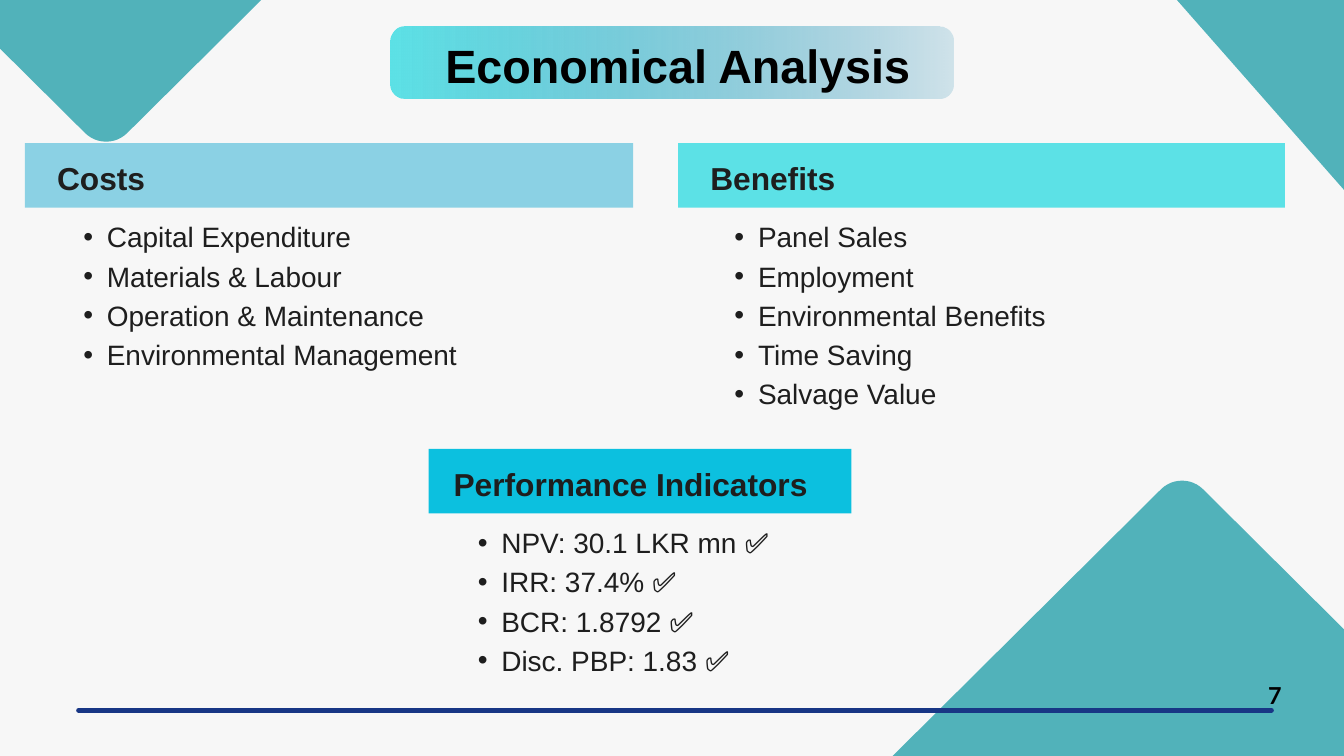
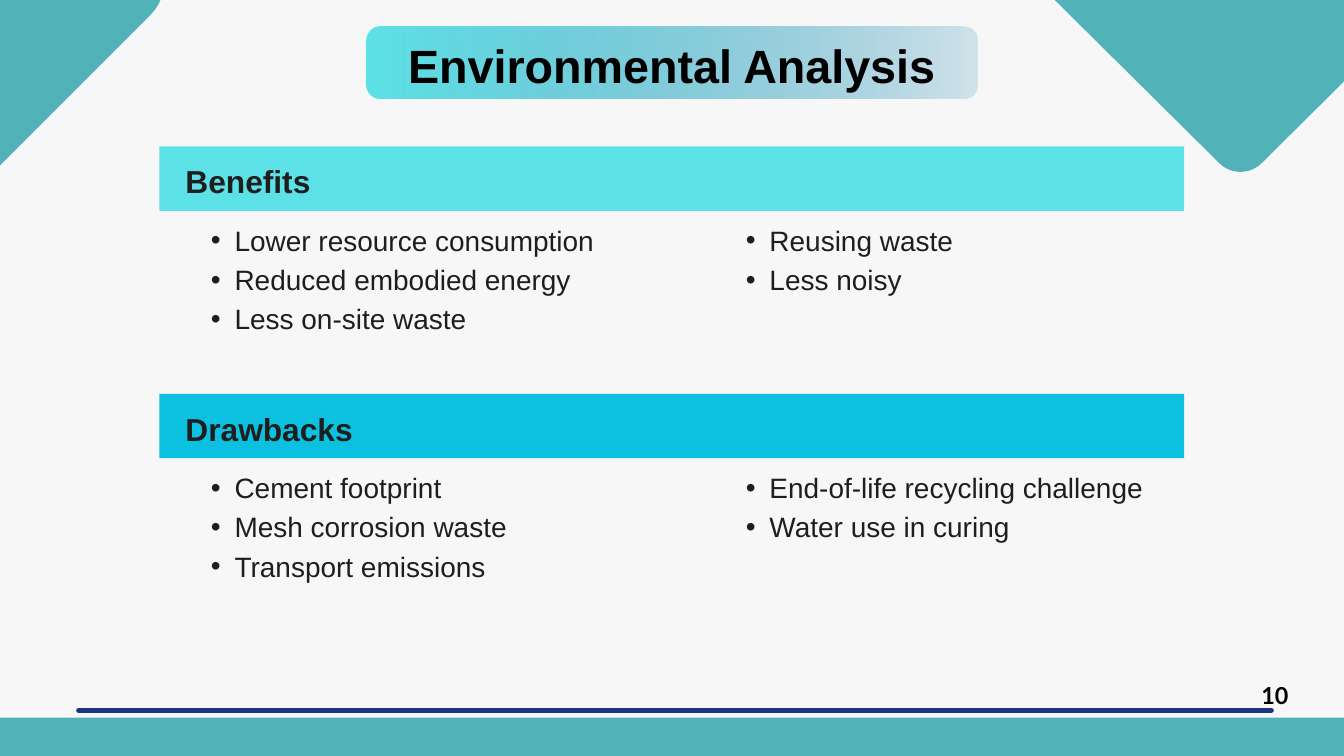
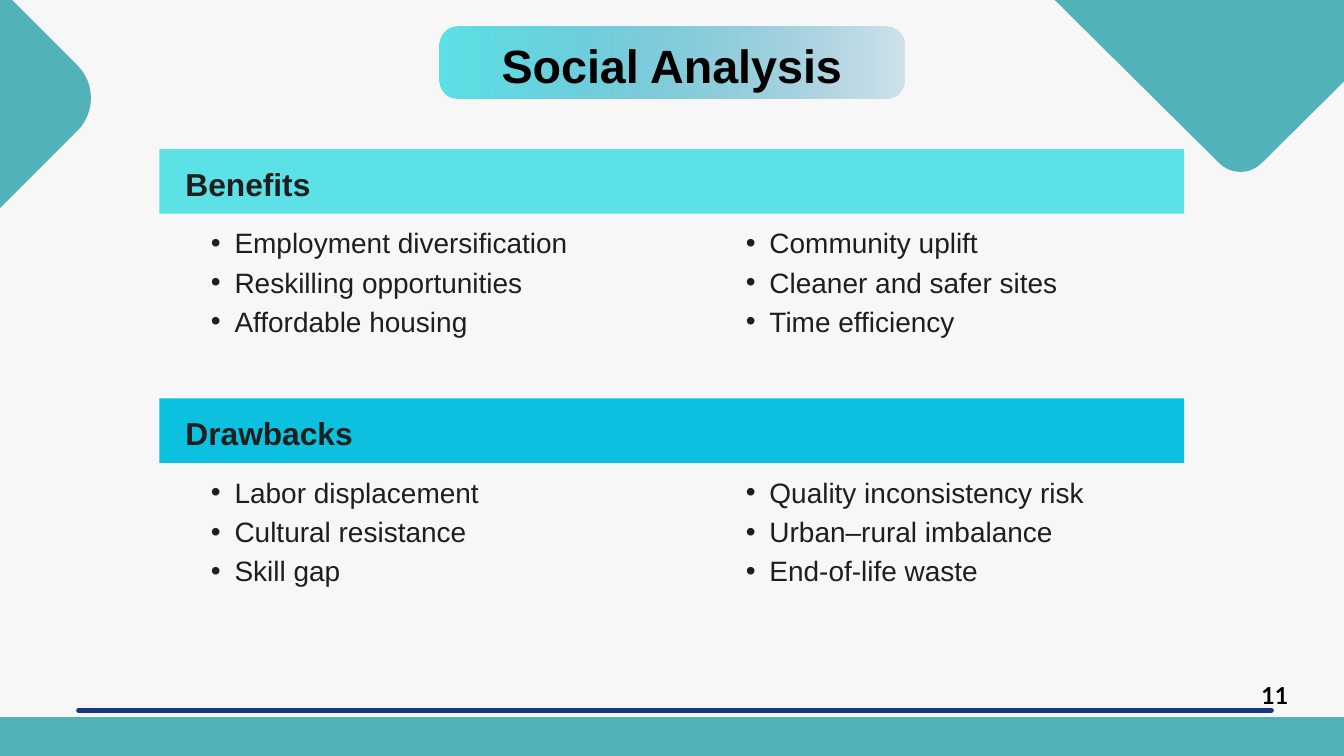
from dataclasses import dataclass

from lxml.etree import SubElement
from pptx import Presentation
from pptx.dml.color import RGBColor
from pptx.enum.shapes import MSO_CONNECTOR, MSO_SHAPE
from pptx.enum.text import MSO_ANCHOR, PP_ALIGN
from pptx.oxml.ns import qn
from pptx.util import Inches, Pt


@dataclass(frozen=True)
class Theme:
    background: RGBColor = RGBColor.from_string("F7F7F7")
    corner: RGBColor = RGBColor.from_string("51B2BA")
    costs: RGBColor = RGBColor.from_string("8BD1E4")
    aqua: RGBColor = RGBColor.from_string("5CE1E6")
    cyan: RGBColor = RGBColor.from_string("0CC0DF")
    title_end: RGBColor = RGBColor.from_string("0079A7")
    rule: RGBColor = RGBColor.from_string("183685")
    black: RGBColor = RGBColor.from_string("000000")
    ink: RGBColor = RGBColor.from_string("1E1E1E")
    font: str = "Arial"
    number_font: str = "Lato"
    title_size: int = 50
    heading_size: int = 34
    list_size: int = 30
    number_size: int = 25


theme = Theme()
deck = Presentation()
deck.slide_width = Inches(20)
deck.slide_height = Inches(11.25)
COLUMN = deck.slide_width / 20
ROW = deck.slide_height / 11.25
BAR_HEIGHT = 0.96


def write(page, text, left, top, width, height, *, size, color=theme.ink,
          font=theme.font, bold=False, align=PP_ALIGN.JUSTIFY, bullet=False):
    box = page.shapes.add_textbox(int(left * COLUMN), int(top * ROW),
                                  int(width * COLUMN), int(height * ROW))
    frame = box.text_frame
    frame.word_wrap = True
    frame.vertical_anchor = MSO_ANCHOR.TOP
    frame.margin_left = frame.margin_right = frame.margin_top = frame.margin_bottom = 0
    for index, line in enumerate(text.split("\n")):
        para = frame.paragraphs[0] if index == 0 else frame.add_paragraph()
        para.alignment = align
        para.line_spacing = Pt(size * 1.4)
        if bullet:
            para.level = 1
            properties = para._p.get_or_add_pPr()
            properties.set("marL", str(int(0.71 * COLUMN)))
            properties.set("indent", str(int(-0.35 * COLUMN)))
            SubElement(properties, qn("a:buFont"), typeface=theme.font)
            SubElement(properties, qn("a:buChar"), char="•")
        span = para.add_run()
        span.text = line
        span.font.name = font
        span.font.size = Pt(size)
        span.font.bold = bold
        span.font.color.rgb = color


def draw_rounded(page, corners, cut):
    outline = []
    for index, (x, y) in enumerate(corners):
        ends = []
        for near_x, near_y in (corners[index - 1], corners[(index + 1) % len(corners)]):
            share = cut / ((near_x - x) ** 2 + (near_y - y) ** 2) ** 0.5
            ends.append((x + (near_x - x) * share, y + (near_y - y) * share))
        (start_x, start_y), (end_x, end_y) = ends
        for step in range(13):
            t = step / 12
            start_weight = (1 - t) ** 3 + 1.35 * t * (1 - t) ** 2
            end_weight = t ** 3 + 1.35 * t ** 2 * (1 - t)
            corner_weight = 1 - start_weight - end_weight
            outline.append((
                int((start_weight * start_x + corner_weight * x + end_weight * end_x) * COLUMN),
                int((start_weight * start_y + corner_weight * y + end_weight * end_y) * ROW)))
    builder = page.shapes.build_freeform(*outline[0], scale=1.0)
    builder.add_line_segments(outline[1:], close=True)
    shape = builder.convert_to_shape()
    shape.shadow.inherit = False
    shape.fill.solid()
    shape.fill.fore_color.rgb = theme.corner
    shape.line.fill.background()


right_triangle = ([(18.46, 2.74), (28.74, -7.45), (8.18, -7.45)], 0.44)
slides = [
    dict(
        title="Economical Analysis", title_width=8.37, title_center=10.09, rounding=0.2,
        number="7", footer_top=None,
        corners=[
            ([(1.58, 2.29), (11.86, -7.91), (-8.7, -7.91)], 0.44),
            ([(20.92, -3.95), (24.59, 0.2), (20.69, 3.61), (17.03, -0.55)], 0.16),
            ([(17.59, 6.97), (11.24, 13.28), (23.94, 13.28)], 0.44),
        ],
        sections=[
            ("Costs", theme.costs, 0.37, 2.13, 9.05, 0.48, [
                (0.88, "Capital Expenditure\nMaterials & Labour\n"
                       "Operation & Maintenance\nEnvironmental Management")]),
            ("Benefits", theme.aqua, 10.09, 2.13, 9.03, 0.48, [
                (10.57, "Panel Sales\nEmployment\nEnvironmental Benefits\n"
                        "Time Saving\nSalvage Value")]),
            ("Performance Indicators", theme.cyan, 6.38, 6.68, 6.29, 0.37, [
                (6.75, "NPV: 30.1 LKR mn ✅\nIRR: 37.4% ✅\n"
                       "BCR: 1.8792 ✅\nDisc. PBP: 1.83 ✅")]),
        ],
    ),
    dict(
        title="Environmental Analysis", title_width=9.08, title_center=10, rounding=0.19,
        number="10", footer_top=10.68,
        corners=[
            right_triangle,
            ([(-1.6, -4.6), (2.73, -0.27), (-1.6, 4.06), (-5.93, -0.27)], 0.69),
        ],
        sections=[
            ("Benefits", theme.aqua, 2.37, 2.18, 15.25, 0.39, [
                (2.78, "Lower resource consumption\nReduced embodied energy\nLess on-site waste"),
                (10.74, "Reusing waste\nLess noisy")]),
            ("Drawbacks", theme.cyan, 2.37, 5.86, 15.25, 0.39, [
                (2.78, "Cement footprint\nMesh corrosion waste\nTransport emissions"),
                (10.74, "End-of-life recycling challenge\nWater use in curing")]),
        ],
    ),
    dict(
        title="Social Analysis", title_width=6.91, title_center=10, rounding=0.25,
        number="11", footer_top=10.67,
        corners=[
            right_triangle,
            ([(-2.44, -2.62), (1.64, 1.46), (-2.44, 5.54), (-6.52, 1.46)], 0.69),
        ],
        sections=[
            ("Benefits", theme.aqua, 2.37, 2.22, 15.25, 0.39, [
                (2.78, "Employment diversification\nReskilling opportunities\nAffordable housing"),
                (10.74, "Community uplift\nCleaner and safer sites\nTime efficiency")]),
            ("Drawbacks", theme.cyan, 2.37, 5.93, 15.25, 0.39, [
                (2.78, "Labor displacement\nCultural resistance\nSkill gap"),
                (10.74, "Quality inconsistency risk\nUrban–rural imbalance\nEnd-of-life waste")]),
        ],
    ),
]

for content in slides:
    page = deck.slides.add_slide(deck.slide_layouts[6])
    page.background.fill.solid()
    page.background.fill.fore_color.rgb = theme.background
    for corners, cut in content["corners"]:
        draw_rounded(page, corners, cut)

    title_width = content["title_width"]
    plate = page.shapes.add_shape(
        MSO_SHAPE.ROUNDED_RECTANGLE, int((10 - title_width / 2) * COLUMN), int(0.4 * ROW),
        int(title_width * COLUMN), int(1.06 * ROW))
    plate.adjustments[0] = content["rounding"]
    plate.shadow.inherit = False
    plate.line.fill.background()
    plate.fill.gradient()
    plate.fill.gradient_angle = 0
    first_stop, last_stop = plate.fill.gradient_stops
    first_stop.color.rgb = theme.aqua
    first_stop.position = 0
    last_stop.color.rgb = theme.title_end
    last_stop.position = 1
    last_color = plate._element.spPr.findall(".//" + qn("a:srgbClr"))[-1]
    SubElement(last_color, qn("a:alpha"), val="16000")
    write(page, content["title"], content["title_center"] - title_width / 2, 0.41,
          title_width, 0.93, size=theme.title_size, color=theme.black, bold=True,
          align=PP_ALIGN.CENTER)

    bars = [(color, left, top, width, BAR_HEIGHT)
            for heading, color, left, top, width, inset, lists in content["sections"]]
    if content["footer_top"]:
        bars.append((theme.corner, 0, content["footer_top"], 20, 11.25 - content["footer_top"]))
    for color, left, top, width, height in bars:
        bar = page.shapes.add_shape(MSO_SHAPE.RECTANGLE, int(left * COLUMN), int(top * ROW),
                                    int(width * COLUMN), int(height * ROW))
        bar.shadow.inherit = False
        bar.fill.solid()
        bar.fill.fore_color.rgb = color
        bar.line.fill.background()

    for heading, color, left, top, width, inset, lists in content["sections"]:
        write(page, heading, left + inset, top + 0.14, width - inset, 0.62,
              size=theme.heading_size, bold=True)
        list_width = left + width - lists[-1][0]
        for list_left, items in lists:
            write(page, items, list_left, top + 1.06, list_width, 2.83,
                  size=theme.list_size, bullet=True)

    write(page, content["number"], 18.67, 10.07, 0.6, 0.48, size=theme.number_size,
          color=theme.black, font=theme.number_font, bold=True, align=PP_ALIGN.CENTER)
    rule = page.shapes.add_connector(MSO_CONNECTOR.STRAIGHT, int(1.17 * COLUMN),
                                     int(10.57 * ROW), int(18.92 * COLUMN), int(10.57 * ROW))
    rule.line.color.rgb = theme.rule
    rule.line.width = Pt(5.25)
    rule.line._get_or_add_ln().set("cap", "rnd")
    SubElement(rule._element.spPr, qn("a:effectLst"))

deck.save("out.pptx")
